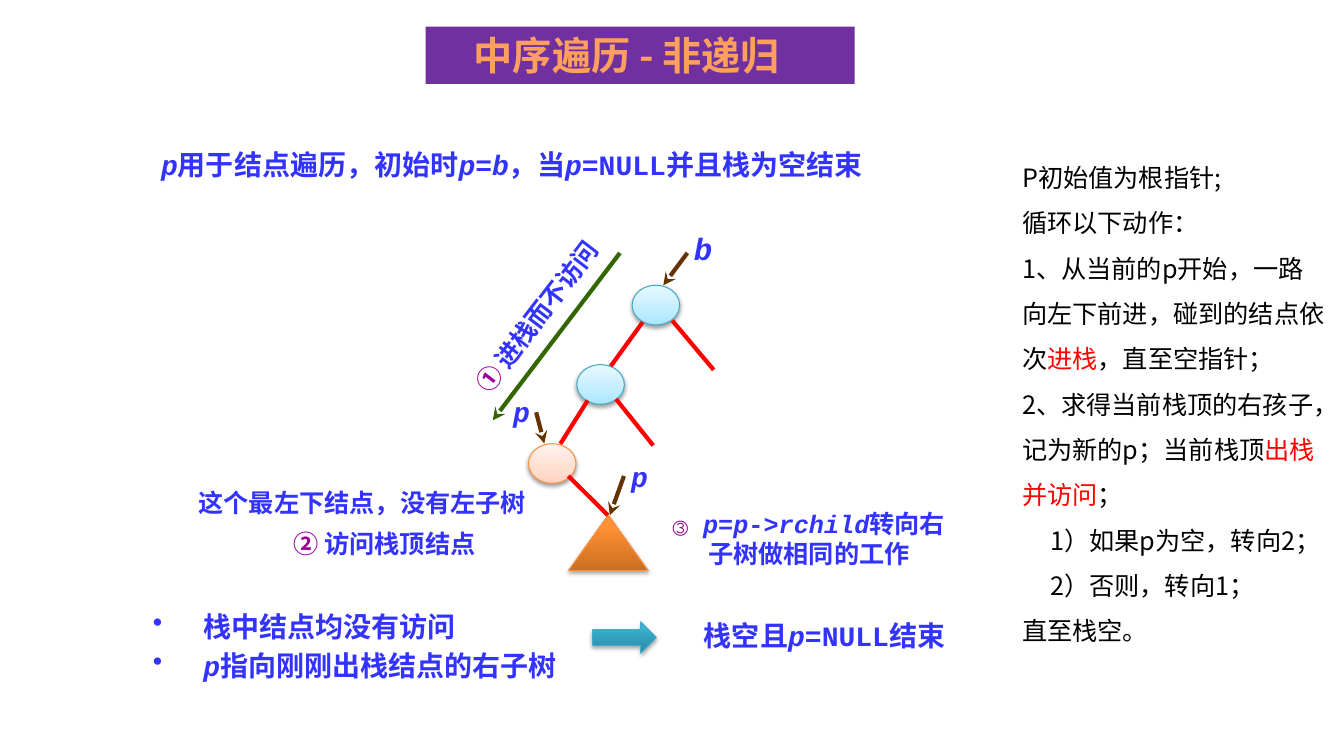
from lxml.etree import SubElement
from pptx import Presentation
from pptx.dml.color import RGBColor
from pptx.enum.shapes import MSO_CONNECTOR, MSO_SHAPE
from pptx.enum.text import MSO_ANCHOR, MSO_AUTO_SIZE, PP_ALIGN
from pptx.oxml.ns import qn
from pptx.util import Pt

BLACK = RGBColor(0, 0, 0)
RED = RGBColor(0xFF, 0, 0)
BLUE = RGBColor(0x33, 0x33, 0xFF)
MAGENTA = RGBColor(0x99, 0, 0x99)
PURPLE = RGBColor(0x70, 0x30, 0xA0)
TITLE_ORANGE = RGBColor(0xFF, 0x9F, 0x5D)
BROWN = RGBColor(0x66, 0x33, 0)
GREEN = RGBColor(0x33, 0x66, 0)
TEAL = RGBColor(0x46, 0xAA, 0xC5)
ORANGE = RGBColor(0xF6, 0x92, 0x40)

CHINESE = "Noto Sans CJK SC"
CODE = {"name": "Courier New", "size": Pt(20), "bold": True, "color": BLUE}
CODE_ITALIC = {**CODE, "italic": True}
SMALL_CODE = {**CODE, "size": Pt(18)}
SMALL_ITALIC = {**SMALL_CODE, "italic": True}
STEP_CODE = {**SMALL_CODE, "color": MAGENTA}
ROOT_LABEL = {**CODE_ITALIC, "size": Pt(22)}
NOTE = {**SMALL_CODE, "name": "Times New Roman"}
STEP = {**NOTE, "color": MAGENTA}
PLAIN = {"name": CHINESE, "size": Pt(18), "color": BLACK}
STRESSED = {**PLAIN, "color": RED}
TITLE = {"name": CHINESE, "size": Pt(28), "bold": True, "color": TITLE_ORANGE}

BLUE_NODE = ((0, "A7E6FF"), (35, "C1EDFF"), (100, "E7F8FF"))
ORANGE_NODE = ((0, "FFD2BD"), (35, "FFDED0"), (100, "FFF2ED"))
SUBTREE = ((0, "CC6E20"), (80, "FF9034"), (100, "FF9136"))
ARROW = ((0, "2A88A2"), (80, "37B1D2"), (100, "34B4D6"))


class TraversalSlide:
    """Draws titles, text, lines and shaded shapes on one slide, in points."""

    def __init__(self, presentation):
        self.slide = presentation.slides.add_slide(presentation.slide_layouts[5])
        self.shapes = self.slide.shapes

    def place(self, shape, box):
        for name, value in zip(("left", "top", "width", "height"), box):
            setattr(shape, name, Pt(value))

    def fill_text(self, shape, paragraphs, align=PP_ALIGN.LEFT, spacing=None,
                  margins=(7.2, 3.6, 7.2, 3.6), bullet=False, anchor=MSO_ANCHOR.TOP):
        frame = shape.text_frame
        settings = {"word_wrap": True, "auto_size": MSO_AUTO_SIZE.NONE,
                    "vertical_anchor": anchor}
        sides = ("margin_left", "margin_top", "margin_right", "margin_bottom")
        settings.update(zip(sides, map(Pt, margins)))
        for name, value in settings.items():
            setattr(frame, name, value)
        for index, (indent, runs) in enumerate(paragraphs):
            paragraph = frame.add_paragraph() if index else frame.paragraphs[0]
            properties = paragraph._p.get_or_add_pPr()
            if bullet:
                properties.set("marL", str(-Pt(indent)))
                SubElement(properties, qn("a:buChar")).set("char", "•")
            properties.set("indent", str(Pt(indent)))
            paragraph.alignment = align
            paragraph.line_spacing = spacing
            paragraph.space_before = Pt(0)
            for text, style in runs:
                self.add_run(paragraph, text, style)

    def add_run(self, paragraph, text, style):
        run = paragraph.add_run()
        run.text = text
        for name, value in style.items():
            if name == "color":
                run.font.color.rgb = value
            else:
                setattr(run.font, name, value)
        latin = run._r.get_or_add_rPr().find(qn("a:latin"))
        east_asian = latin.makeelement(qn("a:ea"), {"typeface": CHINESE})
        latin.addnext(east_asian)

    def title(self, box, text):
        shape = self.shapes.title
        self.place(shape, box)
        shape.fill.solid()
        shape.fill.fore_color.rgb = PURPLE
        self.fill_text(shape, [(0, [(text, TITLE)])], PP_ALIGN.CENTER,
                       margins=(7.2, 3.6, 26, 3.6), anchor=MSO_ANCHOR.MIDDLE)

    def text(self, box, paragraphs, rotation=0, **layout):
        shape = self.shapes.add_textbox(*map(Pt, box))
        shape.rotation = rotation
        self.fill_text(shape, paragraphs, **layout)

    def label(self, box, runs, **layout):
        self.text(box, [(0, runs)], margins=(0, 0, 0, 0), **layout)

    def line(self, start, end, color, arrow=False):
        connector = self.shapes.add_connector(
            MSO_CONNECTOR.STRAIGHT, *map(Pt, start + end))
        connector.line.color.rgb = color
        connector.line.width = Pt(3)
        properties = connector._element.spPr
        if arrow:
            SubElement(properties.find(qn("a:ln")), qn("a:tailEnd")).set("type", "stealth")
        SubElement(properties, qn("a:effectLst"))

    def shaded(self, kind, box, stops, outline, opacity=35):
        shape = self.shapes.add_shape(kind, *map(Pt, box))
        shape.fill.gradient()
        shape.fill.gradient_angle = 90
        properties = shape._element.spPr
        stop_list = properties.find(qn("a:gradFill")).find(qn("a:gsLst"))
        for stop in list(stop_list):
            stop_list.remove(stop)
        for position, color in stops:
            stop = SubElement(stop_list, qn("a:gs"), pos=str(position * 1000))
            SubElement(stop, qn("a:srgbClr"), val=color)
        shape.line.color.rgb = outline
        shape.line.width = Pt(0.75)
        shape.shadow.inherit = False
        shadow = SubElement(properties.find(qn("a:effectLst")), qn("a:outerShdw"),
                            blurRad=str(Pt(3.1)), dist=str(Pt(1.7)),
                            dir="5400000", rotWithShape="0")
        color = SubElement(shadow, qn("a:srgbClr"), val="000000")
        SubElement(color, qn("a:alpha"), val=str(opacity * 1000))


def main():
    presentation = Presentation()
    presentation.slide_width = Pt(960)
    presentation.slide_height = Pt(540)
    page = TraversalSlide(presentation)
    center = PP_ALIGN.CENTER
    page.title((304, 19, 306.5, 41), "中序遍历 - 非递归")

    for left, top, stops, outline in (
            (451.5, 203.8, BLUE_NODE, TEAL), (412, 260.5, BLUE_NODE, TEAL),
            (377.5, 317, ORANGE_NODE, ORANGE)):
        page.shaded(MSO_SHAPE.OVAL, (left, top, 34, 28.3), stops, outline, 38)
    page.shaded(MSO_SHAPE.ISOSCELES_TRIANGLE, (406, 368, 57, 39.6), SUBTREE, ORANGE)

    for start, end in (((459, 230.2), (436.3, 261.5)), ((419.8, 286), (400.3, 317)),
                       ((480.2, 229), (509.8, 264.2)), ((406, 340), (434.2, 368)),
                       ((440, 285), (466.6, 318.2))):
        page.line(start, end, RED)
    for start, end, color in (
            ((491, 180.7), (473.8, 203.8), BROWN), ((383, 294.5), (388.8, 316.8), BROWN),
            ((445.7, 340), (435.6, 368), BROWN), ((442.8, 180.7), (352, 300.2), GREEN)):
        page.line(start, end, color, arrow=True)

    for box, name, style in (((491, 164.2, 22.3, 26.6), "b", ROOT_LABEL),
                             ((361.4, 281.5, 22.3, 24.5), "p", CODE_ITALIC),
                             ((445.7, 328.3, 22.3, 24.5), "p", CODE_ITALIC)):
        page.label(box, [(name, style)], align=center)

    page.text((303, 211.7, 160.6, 28.8), [(0, [("① ", STEP), ("进栈而不访问", NOTE)])],
              rotation=307.4, align=center)
    page.label((141.8, 350, 242, 20), [("这个最左下结点，没有左子树", NOTE)],
               spacing=Pt(20))
    page.label((209.5, 378.7, 140.4, 20), [("② ", STEP), ("访问栈顶结点", NOTE)],
               spacing=Pt(20))
    page.label((479.5, 363, 196.6, 44),
               [("③ ", STEP_CODE), ("p", SMALL_ITALIC), ("=", SMALL_CODE),
                ("p", SMALL_ITALIC), ("->", SMALL_CODE), ("rchild", SMALL_ITALIC),
                ("转向右子树做相同的工作", SMALL_CODE)], align=center)
    page.text((108, 106.6, 598.3, 26.6), [(0, [
        ("p", CODE_ITALIC), ("用于结点遍历，初始时", CODE), ("p", CODE_ITALIC),
        ("=", CODE), ("b", CODE_ITALIC), ("，当", CODE), ("p", CODE_ITALIC),
        ("=NULL并且栈为空结束", CODE)])], spacing=0.8)
    page.text((102.2, 427.7, 303.8, 64), [
        (-36, [("栈中结点均没有访问", CODE)]),
        (-36, [("p", CODE_ITALIC), ("指向刚刚出栈结点的右子树", CODE)])],
        spacing=Pt(28), bullet=True)
    page.text((468, 438.5, 242, 31.7), [(0, [
        ("栈空且", CODE), ("p", CODE_ITALIC), ("=NULL结束", CODE)])], align=center)
    page.shaded(MSO_SHAPE.RIGHT_ARROW, (423.4, 444.2, 45.4, 22.3), ARROW, TEAL)

    page.text((723, 101.5, 230.4, 363.6), [
        (0, [("P初始值为根指针;", PLAIN)]),
        (0, [("循环以下动作：", PLAIN)]),
        (0, [("1、从当前的p开始，一路向左下前进，碰到的结点依次", PLAIN),
             ("进栈", STRESSED), ("，直至空指针；", PLAIN)]),
        (0, [("2、求得当前栈顶的右孩子，记为新的p；当前栈顶", PLAIN),
             ("出栈并访问", STRESSED), ("；", PLAIN)]),
        (20, [("1）如果p为空，转向2；", PLAIN)]),
        (20, [("2）否则，转向1；", PLAIN)]),
        (0, [("直至栈空。", PLAIN)])], spacing=1.5)
    presentation.save("out.pptx")


if __name__ == "__main__":
    main()
